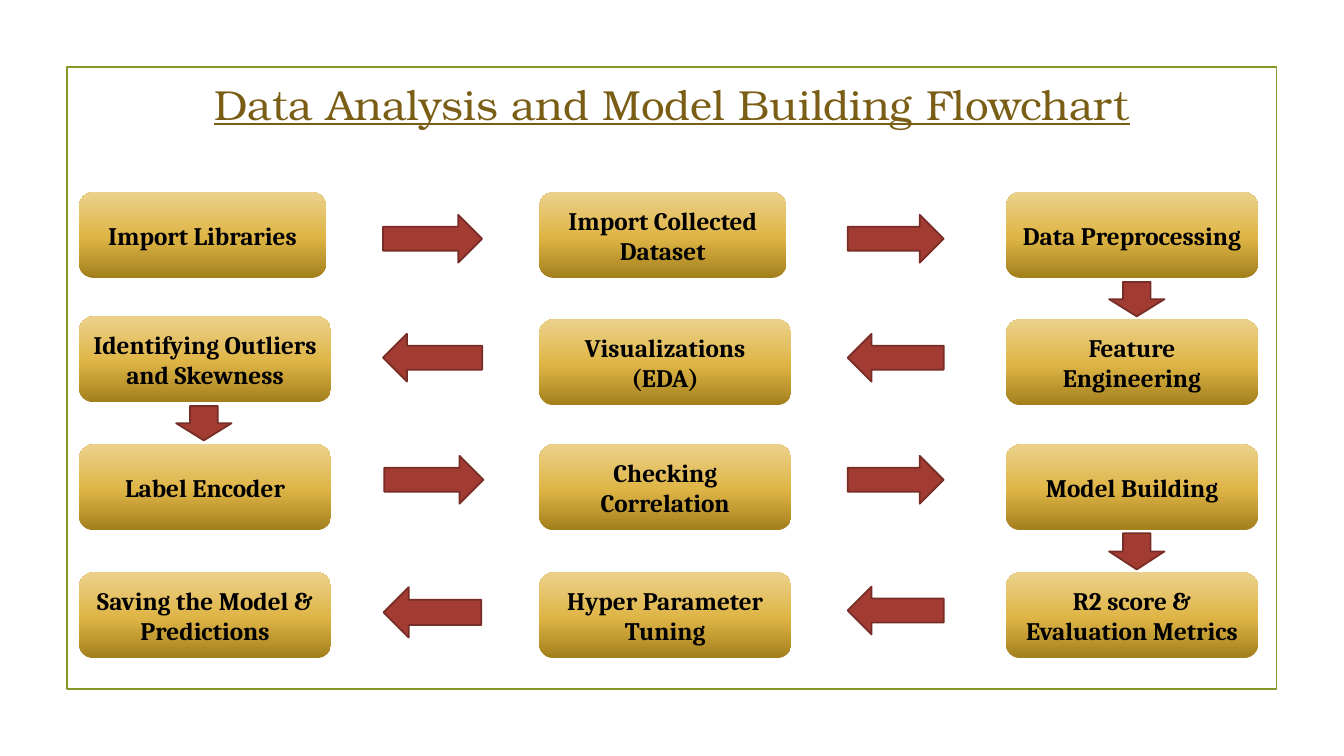
from copy import deepcopy
from dataclasses import dataclass

from pptx import Presentation
from pptx.dml.color import RGBColor
from pptx.enum.shapes import MSO_SHAPE
from pptx.enum.text import MSO_ANCHOR, MSO_AUTO_SIZE, PP_ALIGN
from pptx.shapes.autoshape import Shape
from pptx.slide import Slide
from pptx.text.text import TextFrame
from pptx.util import Pt

COLORS = {
    "frame": "83992A", "title": "7A5E15", "text": "000000",
    "arrow": "A23C33", "arrow_edge": "782C26",
    "gold_dark": "A37F1C", "gold": "DFB546", "gold_light": "EBD18C",
}
GOLD_STOPS = ((0, "gold_dark"), (0.48, "gold"), (1, "gold_light"))
LEFT, MIDDLE, RIGHT = 56.5, 385.2, 718.6
ROWS = (137.3, 228.2, 317.5, 408.9)
FIRST_GAP, SECOND_GAP = 273.6, 605.5
STEP_HEIGHT = 61.2


@dataclass
class Step:
    """A process box; each line of its text is a paragraph."""
    left: float
    top: float
    lines: tuple[str, ...]
    width: float = 180


@dataclass
class Arrow:
    """A block arrow between two steps."""
    kind: MSO_SHAPE
    left: float
    top: float
    width: float
    height: float = 34.2


STEPS = (
    Step(LEFT, ROWS[0], ("Import Libraries",), 176.4),
    Step(MIDDLE, ROWS[0], ("Import Collected Dataset",), 176.4),
    Step(RIGHT, ROWS[0], ("Data Preprocessing",)),
    Step(RIGHT, ROWS[1], ("Feature Engineering",)),
    Step(MIDDLE, ROWS[1], ("Visualizations", "(EDA)")),
    Step(LEFT, 226.1, ("Identifying Outliers and Skewness",)),
    Step(LEFT, ROWS[2], ("Label Encoder",)),
    Step(MIDDLE, ROWS[2], ("Checking Correlation",)),
    Step(RIGHT, ROWS[2], ("Model Building",)),
    Step(RIGHT, ROWS[3], ("R2 score & Evaluation Metrics",)),
    Step(MIDDLE, ROWS[3], ("Hyper Parameter Tuning",)),
    Step(LEFT, ROWS[3], ("Saving the Model & Predictions",)),
)
ARROWS = (
    Arrow(MSO_SHAPE.RIGHT_ARROW, FIRST_GAP, 153.4, 70.8),
    Arrow(MSO_SHAPE.RIGHT_ARROW, SECOND_GAP, 153.4, 68.6),
    Arrow(MSO_SHAPE.DOWN_ARROW, 792.2, 201.4, 39.6, 24.6),
    Arrow(MSO_SHAPE.LEFT_ARROW, SECOND_GAP, 238.4, 68.6),
    Arrow(MSO_SHAPE.LEFT_ARROW, FIRST_GAP, 238.4, 70.8),
    Arrow(MSO_SHAPE.DOWN_ARROW, 125.8, 290, 39.6, 24.6),
    Arrow(MSO_SHAPE.RIGHT_ARROW, 274.5, 325.6, 70.8),
    Arrow(MSO_SHAPE.RIGHT_ARROW, SECOND_GAP, 325.6, 68.6),
    Arrow(MSO_SHAPE.DOWN_ARROW, 792.2, 381, 39.6, 25.8),
    Arrow(MSO_SHAPE.LEFT_ARROW, SECOND_GAP, 419, 68.6),
    Arrow(MSO_SHAPE.LEFT_ARROW, 274, 419.4, 69.8, 36),
)


def color(name: str) -> RGBColor:
    """Look up a named colour."""
    return RGBColor.from_string(COLORS[name])


def add_box(page: Slide, kind: MSO_SHAPE, left: float, top: float,
            width: float, height: float) -> Shape:
    """Add a preset shape without a shadow."""
    box = page.shapes.add_shape(kind, Pt(left), Pt(top), Pt(width), Pt(height))
    box.shadow.inherit = False
    return box


def outline(box: Shape, name: str) -> None:
    """Give a shape a thin line."""
    box.line.color.rgb = color(name)
    box.line.width = Pt(1.25)


def write(frame: TextFrame, lines: tuple[str, ...], size: float, face: str,
          ink: str, bold: bool = False, underline: bool = False) -> None:
    """Write centred paragraphs, one run each."""
    frame.word_wrap = True
    frame.vertical_anchor = MSO_ANCHOR.MIDDLE
    for index, line in enumerate(lines):
        para = frame.add_paragraph() if index else frame.paragraphs[0]
        para.alignment = PP_ALIGN.CENTER
        span = para.add_run()
        span.text = line
        span.font.size = Pt(size)
        span.font.name = face
        span.font.bold = bold
        span.font.underline = underline
        span.font.color.rgb = color(ink)


def fill_gold(box: Shape) -> None:
    """Fill a shape with the gold gradient, dark at the bottom."""
    box.fill.gradient()
    box.fill.gradient_angle = 90
    stops = box.element.spPr.xpath("a:gradFill/a:gsLst")[0]
    stops.append(deepcopy(stops[-1]))
    for stop, (position, name) in zip(box.fill.gradient_stops, GOLD_STOPS):
        stop.position = position
        stop.color.rgb = color(name)


def add_title(page: Slide) -> None:
    """Place and write the slide title."""
    title = page.shapes.title
    title.left, title.top, title.width, title.height = Pt(0), Pt(52), Pt(960), Pt(43.6)
    write(title.text_frame, ("Data Analysis and Model Building Flowchart",),
          30, "TeX Gyre Bonum", "title", underline=True)
    title.text_frame.auto_size = MSO_AUTO_SIZE.SHAPE_TO_FIT_TEXT


def add_arrow(page: Slide, arrow: Arrow) -> None:
    """Draw one red block arrow."""
    box = add_box(page, arrow.kind, arrow.left, arrow.top, arrow.width, arrow.height)
    box.fill.solid()
    box.fill.fore_color.rgb = color("arrow")
    outline(box, "arrow_edge")


def add_step(page: Slide, step: Step) -> None:
    """Draw one gold process box."""
    box = add_box(page, MSO_SHAPE.FLOWCHART_ALTERNATE_PROCESS,
                  step.left, step.top, step.width, STEP_HEIGHT)
    fill_gold(box)
    box.line.fill.background()
    write(box.text_frame, step.lines, 18, "Cambria", "text", bold=True)


def main() -> None:
    """Build and save the flowchart slide."""
    deck = Presentation()
    deck.slide_width, deck.slide_height = Pt(960), Pt(540)
    page = deck.slides.add_slide(deck.slide_layouts[5])
    frame = add_box(page, MSO_SHAPE.RECTANGLE, 47.8, 48, 864, 444)
    frame.fill.background()
    outline(frame, "frame")
    add_title(page)
    for arrow in ARROWS:
        add_arrow(page, arrow)
    for step in STEPS:
        add_step(page, step)
    deck.save("out.pptx")


if __name__ == "__main__":
    main()
